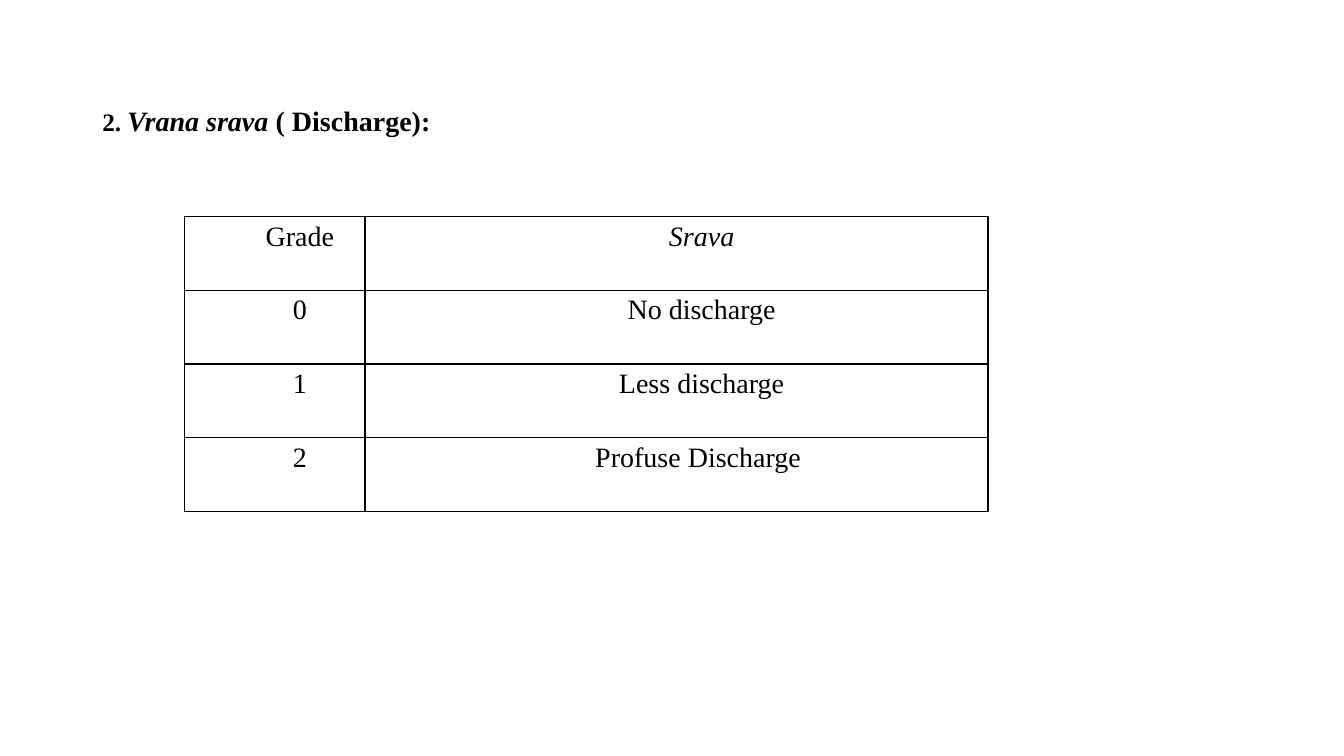
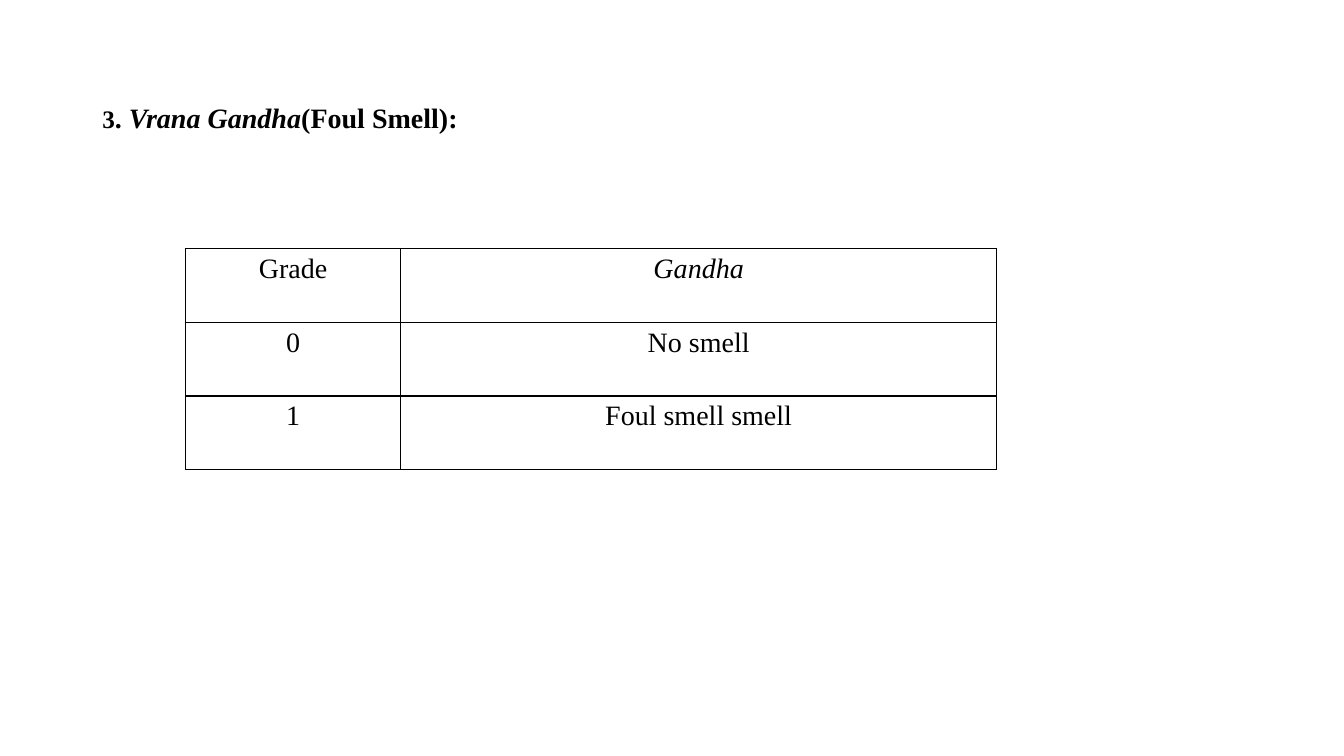
from dataclasses import dataclass

from lxml import etree
from pptx import Presentation
from pptx.dml.color import RGBColor
from pptx.enum.text import PP_ALIGN
from pptx.oxml.ns import qn
from pptx.slide import Slide
from pptx.table import _Cell
from pptx.text.text import _Paragraph
from pptx.util import Pt

LEFT = PP_ALIGN.LEFT
CENTER = PP_ALIGN.CENTER
BLACK = RGBColor(0, 0, 0)
FONT = "Times New Roman"
SMALL, LARGE = 18, 20
WIDE, HIGH = 960, 540
EDGE = 66
FOOT = 486
ROW = 52.65
INSET = 5.04


@dataclass(frozen=True)
class Run:
    text: str
    size: float = LARGE
    slant: bool = False


@dataclass(frozen=True)
class Grid:
    left: float
    top: float
    cols: tuple[float, float]
    indent: float
    rows: tuple[tuple[str, str], ...]


@dataclass(frozen=True)
class Page:
    top: float
    title: tuple[Run, ...]
    grid: Grid


PAGES = (
    Page(
        73.4,
        (Run("2. ", SMALL), Run("Vrana srava ", slant=True), Run("( Discharge):")),
        Grid(131.8, 154.7, (128.9, 445), 36, (
            ("Grade", "Srava"),
            ("0", "No discharge"),
            ("1", "Less discharge"),
            ("2", "Profuse Discharge "),
        )),
    ),
    Page(
        71,
        (Run("3", SMALL), Run(". "), Run("Vrana Gandha", slant=True),
         Run("(Foul Smell):")),
        Grid(132.5, 177.6, (153.8, 425.6), 0, (
            ("Grade", "Gandha"),
            ("0", "No smell"),
            ("1", "Foul smell smell"),
        )),
    ),
)


def write(para: _Paragraph, runs: tuple[Run, ...], *, bold: bool = False,
          align: PP_ALIGN = LEFT, pitch: float = 1, before: float = 0,
          after: float = 0, indent: float = 0) -> None:
    para.alignment = align
    para.line_spacing = pitch
    para.space_before = Pt(before)
    para.space_after = Pt(after)
    if indent:
        props = para._p.get_or_add_pPr()
        props.set("marL", str(Pt(indent)))
        props.set("indent", "0")
    for item in runs:
        run = para.add_run()
        run.text = item.text
        font = run.font
        font.name = FONT
        font.size = Pt(item.size)
        font.bold = bold
        font.italic = item.slant
        font.color.rgb = BLACK


def frame(cell: _Cell) -> None:
    """Give the cell thin black borders and no fill."""
    props = cell._tc.get_or_add_tcPr()
    for side in ("lnL", "lnR", "lnT", "lnB"):
        line = etree.SubElement(props, qn(f"a:{side}"), w=str(Pt(1)))
        fill = etree.SubElement(line, qn("a:solidFill"))
        etree.SubElement(fill, qn("a:srgbClr"), val=str(BLACK))
    cell.fill.background()


def draw_title(slide: Slide, page: Page) -> None:
    box = slide.shapes.add_textbox(Pt(EDGE), Pt(page.top), Pt(WIDE - 2 * EDGE),
                                   Pt(FOOT - page.top))
    box.text_frame.word_wrap = True
    write(box.text_frame.paragraphs[0], page.title, bold=True, pitch=0.9,
          before=10)


def draw_grid(slide: Slide, grid: Grid) -> None:
    count = len(grid.rows)
    table = slide.shapes.add_table(
        count, len(grid.cols), Pt(grid.left), Pt(grid.top),
        Pt(sum(grid.cols)), Pt(ROW * count)).table
    table.first_row = False
    table.horz_banding = False
    for col, width in zip(table.columns, grid.cols):
        col.width = Pt(width)
    for r, texts in enumerate(grid.rows):
        table.rows[r].height = Pt(ROW)
        for c, text in enumerate(texts):
            cell = table.cell(r, c)
            cell.margin_left = cell.margin_right = Pt(INSET)
            cell.margin_top = cell.margin_bottom = Pt(0)
            frame(cell)
            head = r == 0 and c == 1
            write(cell.text_frame.paragraphs[0], (Run(text, slant=head),),
                  align=CENTER, pitch=1.15, after=10, indent=grid.indent)


def main() -> None:
    deck = Presentation()
    deck.slide_width, deck.slide_height = Pt(WIDE), Pt(HIGH)
    blank = deck.slide_layouts[6]
    for page in PAGES:
        slide = deck.slides.add_slide(blank)
        draw_title(slide, page)
        draw_grid(slide, page.grid)
    deck.save("out.pptx")


if __name__ == "__main__":
    main()
